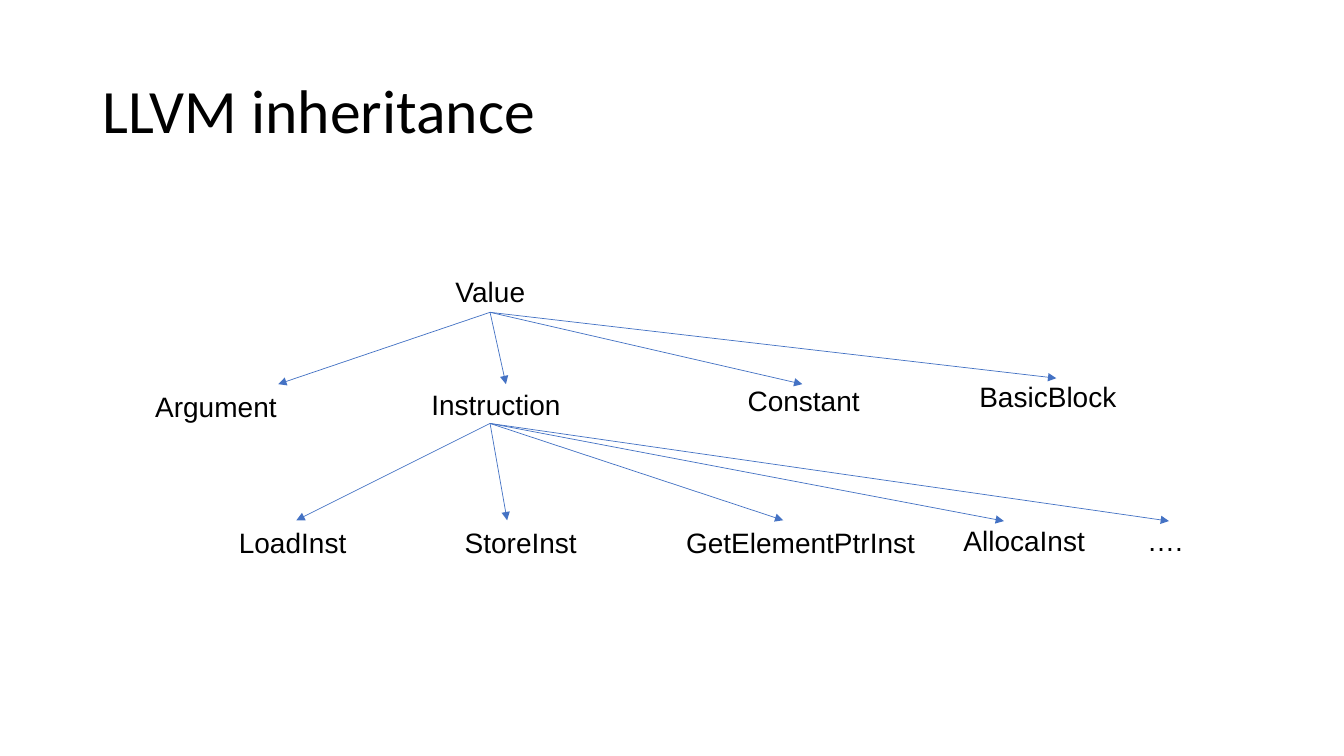
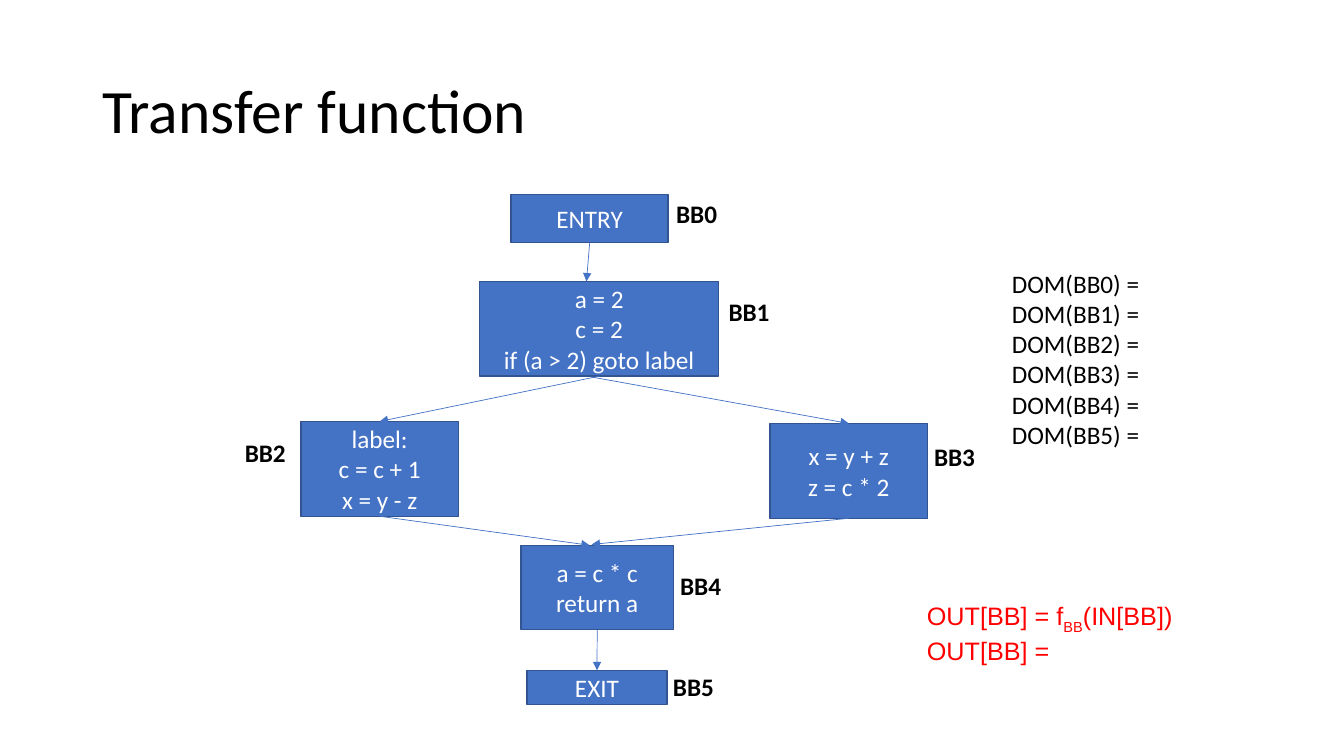
from lxml.etree import SubElement
from pptx import Presentation
from pptx.dml.color import RGBColor
from pptx.enum.shapes import MSO_CONNECTOR, MSO_SHAPE
from pptx.enum.text import MSO_ANCHOR as Anchor, MSO_AUTO_SIZE as AutoSize, PP_ALIGN as Align
from pptx.oxml.ns import qn
from pptx.util import Cm, Pt

COLORS = {"text": "000000", "box": "4472C4", "edge": "325491",
          "inverse": "FFFFFF", "formula": "FF0000"}
TOP, BOTTOM = 0, 2


def color(name):
    return RGBColor.from_string(COLORS[name])


class Deck:
    """Shared style, plus the page being filled. All lengths are in centimetres."""

    def __init__(self):
        self.file = Presentation()
        self.file.slide_width, self.file.slide_height = Cm(33.87), Cm(19.05)
        self.page = None

    def style(self, frame, size, font="Calibri", tint="text", bold=False, align=Align.LEFT):
        for para in frame.paragraphs:
            para.alignment = align
            para.font.name, para.font.size, para.font.bold = font, Pt(size), bold
            para.font.color.rgb = color(tint)

    def add_page(self, title):
        self.page = self.file.slides.add_slide(self.file.slide_layouts[5])
        holder = self.page.shapes.title
        holder.left, holder.top, holder.width, holder.height = map(Cm, (2.33, 1.02, 29.21, 3.68))
        frame = holder.text_frame
        frame.text = title
        frame.vertical_anchor = Anchor.MIDDLE
        frame.paragraphs[0].line_spacing = 0.9
        self.style(frame, 44)

    def text(self, words, left, top, width, height, size=18, **look):
        box = self.page.shapes.add_textbox(*map(Cm, (left, top, width, height)))
        frame = box.text_frame
        frame.word_wrap = True
        frame.auto_size = AutoSize.SHAPE_TO_FIT_TEXT
        frame.text = words
        self.style(frame, size, **look)
        return frame

    def block(self, words, left, top, width, height):
        box = self.page.shapes.add_shape(MSO_SHAPE.RECTANGLE, *map(Cm, (left, top, width, height)))
        box.shadow.inherit = False
        box.fill.solid()
        box.fill.fore_color.rgb = color("box")
        box.line.color.rgb = color("edge")
        box.line.width = Pt(1)
        box.text_frame.text = words
        box.text_frame.vertical_anchor = Anchor.MIDDLE
        self.style(box.text_frame, 18, tint="inverse", align=Align.CENTER)
        return box

    def arrow(self, start, end):
        """Each end is a point, or a block: leave by its bottom, enter by its top."""
        points = [Cm(n) for place in (start, end)
                  for n in (place if isinstance(place, tuple) else (0, 0))]
        line = self.page.shapes.add_connector(MSO_CONNECTOR.STRAIGHT, *points)
        if not isinstance(start, tuple):
            line.begin_connect(start, BOTTOM)
        if not isinstance(end, tuple):
            line.end_connect(end, TOP)
        line.line.color.rgb = color("box")
        line.line.width = Pt(0.5)
        properties = line.element.spPr
        SubElement(properties.find(qn("a:ln")), qn("a:tailEnd"), type="triangle")
        SubElement(properties, qn("a:effectLst"))


def inheritance_page(deck):
    deck.add_page("LLVM inheritance")
    classes = [
        ("Value", 11.23, 6.78),
        ("Argument", 3.66, 9.68),
        ("Instruction", 10.62, 9.65),
        ("Constant", 18.59, 9.55),
        ("BasicBlock", 24.43, 9.45),
        ("LoadInst", 5.77, 13.11),
        ("StoreInst", 11.46, 13.11),
        ("GetElementPtrInst", 17.04, 13.11),
        ("AllocaInst", 24.03, 13.06),
    ]
    for name, left, top in classes:
        deck.text(name, left, top, 6.68, 1.12, size=20, font="Arial")
    deck.text("….", 28.66, 13.06, 2.05, 1.12, size=20, font="Arial")

    subclasses = {
        (12.35, 7.87): [(7.01, 9.68), (12.75, 9.68), (20.22, 9.68), (26.62, 9.53)],
        (12.35, 10.67): [(7.47, 13.11), (12.78, 13.11), (19.74, 13.11),
                         (25.3, 13.13), (29.46, 13.13)],
    }
    for parent, children in subclasses.items():
        for child in children:
            deck.arrow(parent, child)


def transfer_page(deck):
    deck.add_page("Transfer function")
    entry = deck.block("ENTRY", 12.88, 4.9, 3.96, 1.22)
    branch = deck.block("a = 2\nc = 2\nif (a > 2) goto label", 12.09, 7.09, 6.02, 2.39)
    left_block = deck.block("label:\nc = c + 1\nx = y - z", 7.59, 10.62, 3.96, 2.39)
    right_block = deck.block("x = y + z\nz = c * 2", 19.41, 10.67, 3.96, 2.39)
    merge = deck.block("a = c * c\nreturn a", 13.13, 13.74, 3.84, 2.13)
    exit_block = deck.block("EXIT", 13.28, 16.89, 3.53, 0.86)

    for start, end in [
        (entry, (14.78, 7.09)),
        (branch, left_block),
        ((14.91, 9.5), right_block),
        (left_block, (14.86, 13.74)),
        (right_block, (14.91, 13.72)),
        (merge, exit_block),
    ]:
        deck.arrow(start, end)

    label_places = [(16.79, 4.88), (18.11, 7.34), (5.92, 10.9),
                    (23.29, 11), (16.89, 14.25), (16.71, 16.79)]
    for number, (left, top) in enumerate(label_places):
        deck.text(f"BB{number}", left, top, 1.75, 1.02, bold=True)

    dominators = "\n".join(f"DOM(BB{number}) =" for number in range(len(label_places)))
    deck.text(dominators, 25.25, 6.63, 7.57, 4.88)

    formula = deck.text("OUT[BB] = f\nOUT[BB] =", 23.11, 15.01, 8.74, 1.8,
                        font="Arial", tint="formula")
    first = formula.paragraphs[0]
    subscript = first.add_run()
    subscript.text = "BB"
    subscript.font._element.set("baseline", "-25000") if hasattr(
        subscript.font, "_element") else subscript._r.get_or_add_rPr().set("baseline", "-25000")
    first.add_run().text = "(IN[BB])"


def main():
    deck = Deck()
    inheritance_page(deck)
    transfer_page(deck)
    deck.file.save("out.pptx")


if __name__ == "__main__":
    main()
